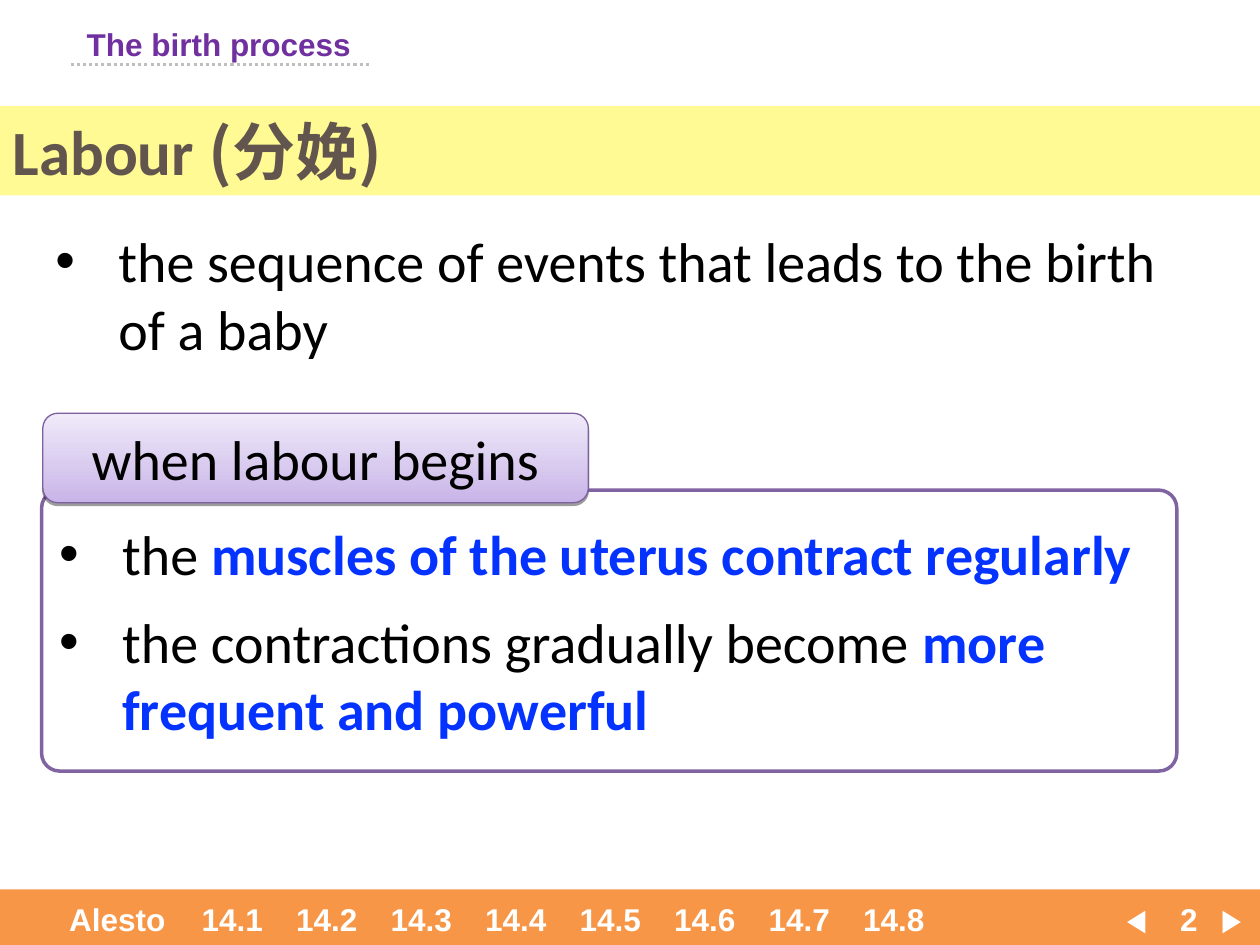
import pptx
import pptx.util
import pptx.dml.color
import pptx.enum.dml
import pptx.enum.shapes
import pptx.enum.text
import pptx.oxml
from pptx.util import Inches

# Content: runs are (text, font, size, colour, bold)
PURPLE, WHITE, BLACK, BLUE, BROWN = "7030A0", "FFFFFF", "000000", "0432FF", "62554E"
CJK = "Noto Sans CJK SC"
TITLE = [("Labour ", "Calibri", 36, BROWN, True), ("(分娩)", CJK, 36, BROWN, True)]


def plain(text):
    return (text, "Calibri", 32, BLACK, False)


def key(text):
    return (text, "Calibri", 32, BLUE, True)


DEFINITION = [[plain("the sequence of events that leads to the birth of a baby")]]
BEGINNING = [
    [plain("the "), key("muscles of the uterus contract regularly")],
    [plain("the contractions gradually become "), key("more frequent and powerful")],
]
SECTIONS = ["14.1", "14.2", "14.3", "14.4", "14.5", "14.6", "14.7", "14.8"]
# Footer items: text, left, width, bold, centred
FOOTER = [
    ("Alesto", 0.45, 1.01, True, False),
    ("2", 9.13, 0.61, True, True),
    ("◀", 8.84, 0.49, False, False),
    ("▶", 9.59, 0.38, False, False),
]

SHAPES = pptx.enum.shapes.MSO_SHAPE
ALIGN = pptx.enum.text.PP_ALIGN
ANCHOR = pptx.enum.text.MSO_ANCHOR
A_NS = 'xmlns:a="http://schemas.openxmlformats.org/drawingml/2006/main"'


def paint(color_format, hex_color):
    color_format.rgb = pptx.dml.color.RGBColor.from_string(hex_color)


def fill_solid(shape, hex_color):
    shape.fill.solid()
    paint(shape.fill.fore_color, hex_color)


def place(shape, left, top, width, height):
    shape.left, shape.top = Inches(left), Inches(top)
    shape.width, shape.height = Inches(width), Inches(height)


def write(shape, paragraphs, align=ALIGN.LEFT, anchor=ANCHOR.TOP, bullets=False,
          gap=0, side=0.1):
    frame = shape.text_frame
    frame.word_wrap = True
    frame.auto_size = pptx.enum.text.MSO_AUTO_SIZE.NONE
    frame.vertical_anchor = anchor
    frame.margin_left = frame.margin_right = Inches(side)
    frame.margin_top = frame.margin_bottom = Inches(0.05)
    for index, runs in enumerate(paragraphs):
        para = frame.paragraphs[0] if index == 0 else frame.add_paragraph()
        para.alignment = align
        para.space_before = pptx.util.Pt(gap if index else 0)
        if bullets:
            properties = para._p.get_or_add_pPr()
            properties.set("marL", str(Inches(0.5)))
            properties.set("indent", str(-Inches(0.5)))
            for xml in (f'<a:buClr {A_NS}><a:srgbClr val="{BLACK}"/></a:buClr>',
                        f'<a:buFont {A_NS} typeface="Arial"/>',
                        f'<a:buChar {A_NS} char="•"/>'):
                properties.append(pptx.oxml.parse_xml(xml))
        for text, font, size, color, bold in runs:
            span = para.add_run()
            span.text = text
            span.font.name, span.font.bold = font, bold
            span.font.size = pptx.util.Pt(size)
            paint(span.font.color, color)
            if font == CJK:
                span.font._element.append(
                    pptx.oxml.parse_xml(f'<a:ea {A_NS} typeface="{CJK}"/>'))


def add_label(page, text, left, top, width, color, bold=True, align=ALIGN.LEFT, side=0.1):
    box = page.shapes.add_textbox(Inches(left), Inches(top), Inches(width), Inches(0.4))
    write(box, [[(text, "Arial", 18, color, bold)]], align, side=side)


def add_panel(page, kind, left, top, width, height, line=None, weight=0):
    panel = page.shapes.add_shape(kind, Inches(left), Inches(top), Inches(width), Inches(height))
    panel.shadow.inherit = False
    if line:
        paint(panel.line.color, line)
        panel.line.width = pptx.util.Pt(weight)
    else:
        panel.line.fill.background()
    return panel


def main():
    deck = pptx.Presentation()
    deck.slide_width, deck.slide_height = Inches(10), Inches(7.5)
    page = deck.slides.add_slide(deck.slide_layouts[1])

    # Topic heading with dotted rule
    add_label(page, "The birth process", 0.59, 0.15, 2.37, PURPLE)
    rule = page.shapes.add_connector(pptx.enum.shapes.MSO_CONNECTOR.STRAIGHT,
                                     Inches(0.56), Inches(0.51), Inches(2.93), Inches(0.51))
    paint(rule.line.color, "BFBFBF")
    rule.line.width = pptx.util.Pt(1.75)
    rule.line.dash_style = pptx.enum.dml.MSO_LINE.ROUND_DOT
    rule._element.spPr.append(pptx.oxml.parse_xml(f"<a:effectLst {A_NS}/>"))

    # Footer bar
    bar = add_panel(page, SHAPES.RECTANGLE, 0, 7.06, 10, 0.46)
    bar.height = deck.slide_height - bar.top
    fill_solid(bar, "F79646")
    for text, left, width, bold, centred in FOOTER:
        add_label(page, text, left, 7.09, width, WHITE, bold,
                  ALIGN.CENTER if centred else ALIGN.LEFT)
    for index, section in enumerate(SECTIONS):
        add_label(page, section, 1.56 + 0.75 * index, 7.09, 0.7, WHITE, side=0.04)

    # Title band and definition
    title, body = page.shapes.title, page.placeholders[1]
    place(title, 0, 0.84, 10, 0.71)
    fill_solid(title, "FFFA93")
    write(title, [TITLE], anchor=ANCHOR.MIDDLE)
    place(body, 0.34, 1.75, 9.31, 1.17)
    write(body, DEFINITION, bullets=True)

    # Framed list of what happens
    frame = add_panel(page, SHAPES.ROUNDED_RECTANGLE, 0.33, 3.89, 9.01, 2.23, "8064A2", 2)
    frame.adjustments[0] = 0.064
    fill_solid(frame, WHITE)
    write(frame, BEGINNING, anchor=ANCHOR.MIDDLE, bullets=True, gap=12)

    # Gradient tab on the frame
    tab = add_panel(page, SHAPES.ROUNDED_RECTANGLE, 0.34, 3.28, 4.33, 0.71, "7D60A0", 0.75)
    tab.fill.gradient()
    tab.fill.gradient_angle = 90
    for stop, color in zip(tab.fill.gradient_stops, ("C9B5E8", "F0EAF9")):
        paint(stop.color, color)
    effects = tab._element.spPr.find(pptx.oxml.ns.qn("a:effectLst"))
    effects.append(pptx.oxml.parse_xml(
        f'<a:outerShdw {A_NS} dist="20000" dir="5400000" rotWithShape="0">'
        f'<a:srgbClr val="{BLACK}"><a:alpha val="38000"/></a:srgbClr></a:outerShdw>'))
    write(tab, [[plain("when labour begins")]], ALIGN.CENTER, ANCHOR.MIDDLE)

    deck.save("out.pptx")


if __name__ == "__main__":
    main()
